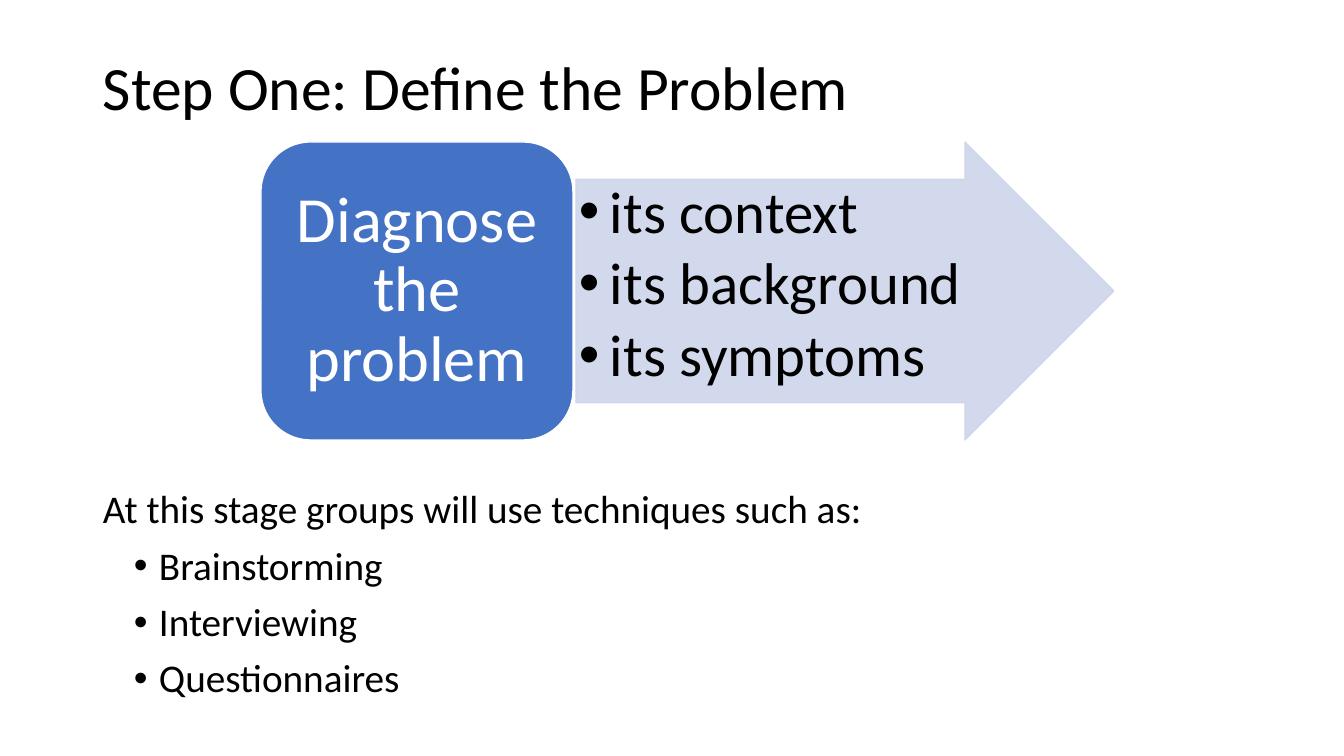
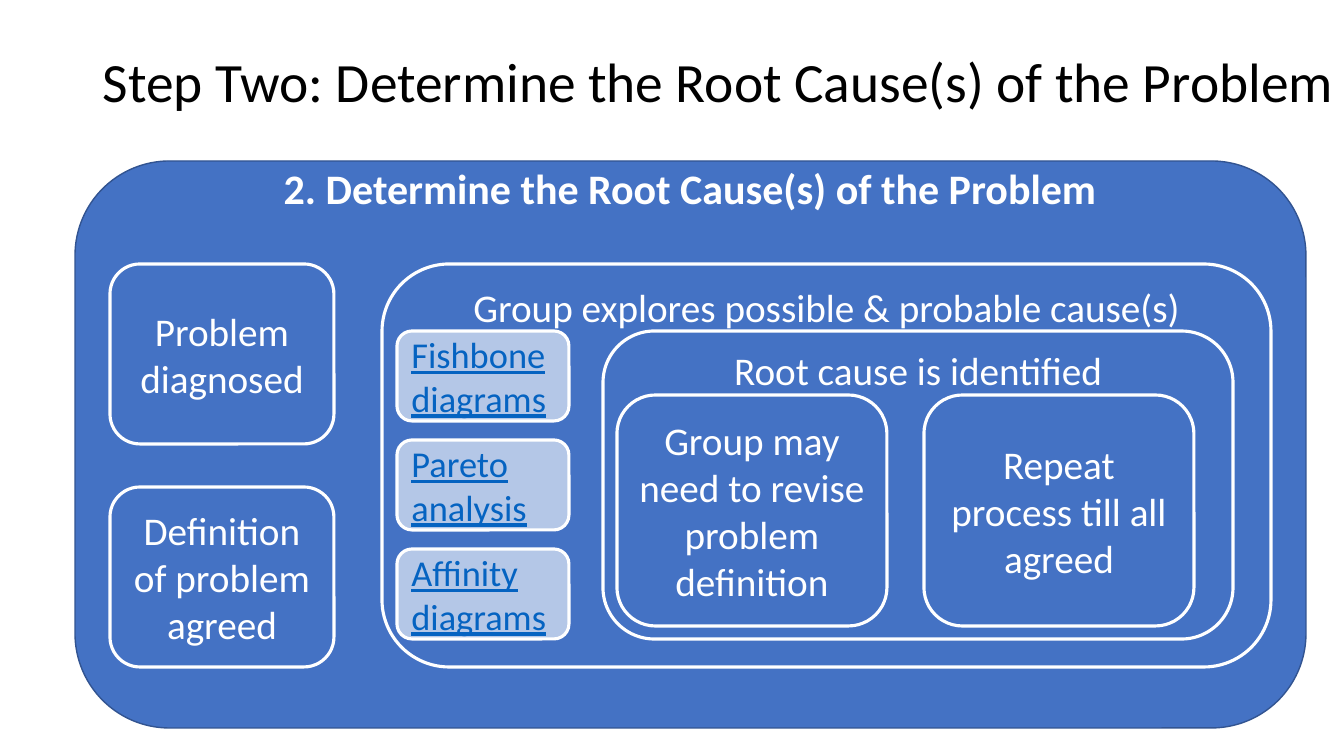
from dataclasses import dataclass

from lxml.etree import SubElement
from pptx import Presentation
from pptx.dml.color import RGBColor
from pptx.enum.shapes import MSO_SHAPE
from pptx.enum.text import MSO_ANCHOR, MSO_AUTO_SIZE, PP_ALIGN
from pptx.oxml.ns import qn
from pptx.shapes.autoshape import Shape
from pptx.slide import Slide
from pptx.text.text import TextFrame, _Paragraph
from pptx.util import Emu, Pt

FONT = "Calibri"
COLORS = {
    "black": "000000",
    "white": "FFFFFF",
    "blue": "4472C4",
    "navy": "325491",
    "pale": "B4C7E7",
    "arrow": "CFD5EA",
    "link": "0563C1",
}


def px(n: int) -> Emu:
    return Emu(round(n * 914400 / 100.8))


def rgb(name: str) -> RGBColor:
    return RGBColor.from_string(COLORS[name])


@dataclass(frozen=True)
class Area:
    x: int
    y: int
    w: int
    h: int

    def emu(self) -> tuple[Emu, Emu, Emu, Emu]:
        return px(self.x), px(self.y), px(self.w), px(self.h)


@dataclass(frozen=True)
class TextStyle:
    size: float
    color: str = "white"
    bold: bool = False
    underline: bool = False
    align: PP_ALIGN = PP_ALIGN.CENTER
    anchor: MSO_ANCHOR = MSO_ANCHOR.MIDDLE
    leading: float = 1.0
    before: int = 0
    after: int = 0
    margin_x: int = 10
    margin_y: int = 5


@dataclass(frozen=True)
class Box:
    area: Area
    text: str
    style: TextStyle
    fill: str = "blue"
    line: str = "white"
    line_pt: float = 2.25
    kind: MSO_SHAPE = MSO_SHAPE.ROUNDED_RECTANGLE


TITLE = TextStyle(44, "black", align=PP_ALIGN.LEFT, leading=0.9)
LONG_TITLE = TextStyle(39.6, "black", align=PP_ALIGN.LEFT, leading=0.9)
BODY = TextStyle(28, "black", align=PP_ALIGN.LEFT, anchor=MSO_ANCHOR.TOP,
                 leading=0.9, before=10)
DIAGNOSE = TextStyle(46, leading=0.9, margin_x=19, margin_y=10)
ASPECTS = TextStyle(42, "black", align=PP_ALIGN.LEFT, anchor=MSO_ANCHOR.TOP,
                    leading=0.9, after=6, margin_x=3, margin_y=3)
HEADING = TextStyle(30, bold=True, margin_y=0)
STAGE = TextStyle(28)
CONTAINER = TextStyle(28, anchor=MSO_ANCHOR.TOP, margin_y=0)
TECHNIQUE = TextStyle(26, "link", underline=True, align=PP_ALIGN.LEFT)


def write(tf: TextFrame, text: str, style: TextStyle) -> None:
    tf.text = text
    tf.word_wrap = True
    tf.auto_size = MSO_AUTO_SIZE.NONE
    tf.vertical_anchor = style.anchor
    tf.margin_left = tf.margin_right = px(style.margin_x)
    tf.margin_top = tf.margin_bottom = px(style.margin_y)
    for p in tf.paragraphs:
        p.alignment = style.align
        p.line_spacing = style.leading
        p.space_before = Pt(style.before)
        p.space_after = Pt(style.after)
        for r in p.runs:
            r.font.name = FONT
            r.font.size = Pt(style.size)
            r.font.bold = style.bold
            r.font.underline = style.underline
            r.font.color.rgb = rgb(style.color)


def add_bullet(p: _Paragraph, left: int, hanging: int) -> None:
    pPr = p._p.get_or_add_pPr()
    pPr.set("marL", str(px(left)))
    pPr.set("indent", str(px(-hanging)))
    SubElement(pPr, qn("a:buFont"), typeface="Arial")
    SubElement(pPr, qn("a:buChar"), char="•")


def set_opacity(sp: Shape, percent: int) -> None:
    for color in sp._element.spPr.iter(qn("a:srgbClr")):
        SubElement(color, qn("a:alpha"), val=str(percent * 1000))


def add_title(s: Slide, area: Area, text: str, style: TextStyle) -> None:
    sp = s.shapes.title
    sp.left, sp.top, sp.width, sp.height = area.emu()
    write(sp.text_frame, text, style)


def add_text(s: Slide, area: Area, text: str, style: TextStyle) -> TextFrame:
    tf = s.shapes.add_textbox(*area.emu()).text_frame
    write(tf, text, style)
    return tf


def add_box(s: Slide, box: Box) -> Shape:
    sp = s.shapes.add_shape(box.kind, *box.area.emu())
    sp.shadow.inherit = False
    sp.fill.solid()
    sp.fill.fore_color.rgb = rgb(box.fill)
    sp.line.color.rgb = rgb(box.line)
    sp.line.width = Pt(box.line_pt)
    write(sp.text_frame, box.text, box.style)
    return sp


def build_define(s: Slide) -> None:
    add_title(s, Area(93, 40, 1193, 102), "Step One: Define the Problem", TITLE)
    tf = add_text(
        s, Area(93, 485, 1159, 246),
        "At this stage groups will use techniques such as:\n"
        "Brainstorming\nInterviewing\nQuestionnaires", BODY)
    for p in tf.paragraphs[1:]:
        add_bullet(p, 56, 25)
    arrow = add_box(s, Box(
        Area(576, 142, 538, 298), "its context\nits background\nits symptoms",
        ASPECTS, "arrow", "arrow", 1, MSO_SHAPE.RIGHT_ARROW))
    arrow.adjustments[0] = 0.75
    arrow.adjustments[1] = 0.5
    set_opacity(arrow, 90)
    for p in arrow.text_frame.paragraphs:
        add_bullet(p, 31, 31)
    add_box(s, Box(Area(261, 142, 312, 298), "Diagnose the problem",
                   DIAGNOSE, line_pt=1))


def build_root_cause(s: Slide) -> None:
    heading = "Determine the Root Cause(s) of the Problem"
    add_title(s, Area(93, 34, 1251, 102), f"Step Two: {heading}", LONG_TITLE)
    add_box(s, Box(Area(75, 161, 1231, 567), "", HEADING,
                   line="navy", line_pt=1))
    add_text(s, Area(103, 162, 1175, 52), f"2. {heading}", HEADING)
    inputs = ("Problem diagnosed", "Definition of problem agreed")
    for i, text in enumerate(inputs):
        add_box(s, Box(Area(110, 264 + 223 * i, 224, 180), text, STAGE))
    add_box(s, Box(Area(382, 264, 889, 403),
                   "Group explores possible & probable cause(s)", CONTAINER))
    techniques = ("Fishbone diagrams", "Pareto analysis", "Affinity diagrams")
    for i, text in enumerate(techniques):
        add_box(s, Box(Area(397, 331 + 109 * i, 172, 90), text,
                       TECHNIQUE, "pale"))
    add_box(s, Box(Area(603, 331, 630, 308), "Root cause is identified",
                   CONTAINER))
    outcomes = ("Group may need to revise problem definition",
                "Repeat process till all agreed")
    for i, text in enumerate(outcomes):
        add_box(s, Box(Area(617 + 307 * i, 395, 270, 231), text, STAGE))


def main() -> None:
    prs = Presentation()
    prs.slide_width, prs.slide_height = px(1344), px(756)
    title_only = prs.slide_layouts.get_by_name("Title Only")
    for build in (build_define, build_root_cause):
        build(prs.slides.add_slide(title_only))
    prs.save("out.pptx")


main()
